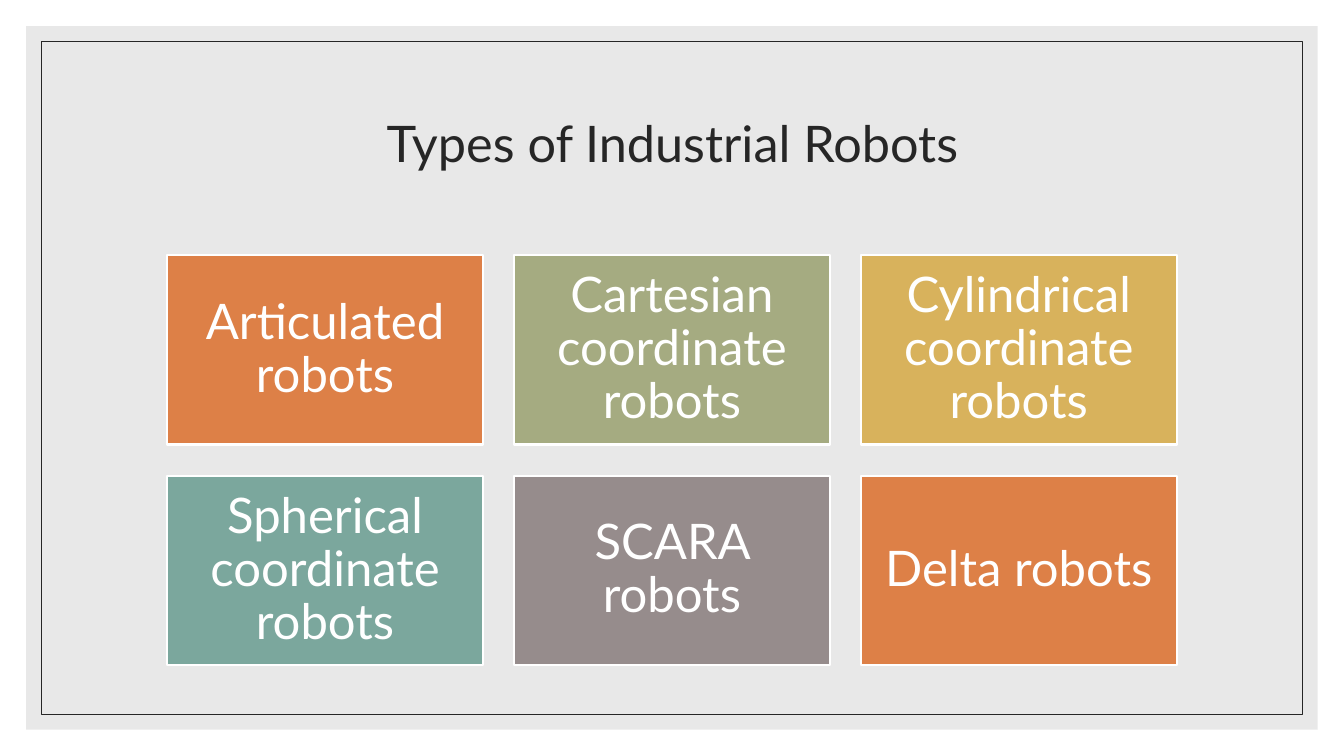
"""Builds a slide that shows six types of industrial robots as a grid of cards."""
import lxml.etree
import pptx
import pptx.dml.color
import pptx.enum.shapes
import pptx.enum.text
import pptx.oxml.ns
import pptx.util

PAGE_WIDTH, PAGE_HEIGHT = 13.33, 7.5
COLORS = {
    "white": "FFFFFF",
    "ink": "262626",
    "panel": "D9D9D9",
    "orange": "DD8047",
    "green": "A5AB81",
    "gold": "D8B25C",
    "teal": "7BA79D",
    "taupe": "968C8C",
}
ROBOTS = [
    ("Articulated robots", "orange"),
    ("Cartesian coordinate robots", "green"),
    ("Cylindrical coordinate robots", "gold"),
    ("Spherical coordinate robots", "teal"),
    ("SCARA robots", "taupe"),
    ("Delta robots", "orange"),
]
GRID_COLUMNS = 3
GRID_LEFT, GRID_TOP = 1.66, 2.53
CARD_WIDTH, CARD_HEIGHT, CARD_GAP = 3.13, 1.88, 0.31


def color(name):
    return pptx.dml.color.RGBColor.from_string(COLORS[name])


def inches(*lengths):
    return [pptx.util.Inches(length) for length in lengths]


def write_text(box, text, size, ink, inset):
    frame = box.text_frame
    frame.word_wrap = True
    frame.vertical_anchor = pptx.enum.text.MSO_ANCHOR.MIDDLE
    frame.margin_left = frame.margin_right = pptx.util.Inches(inset)
    frame.margin_top = frame.margin_bottom = pptx.util.Inches(inset)
    para = frame.paragraphs[0]
    para.alignment = pptx.enum.text.PP_ALIGN.CENTER
    para.line_spacing = 0.9
    span = para.add_run()
    span.text = text
    span.font.name = "Lato"
    span.font.size = pptx.util.Pt(size)
    span.font.color.rgb = color(ink)


def add_rectangle(page, place, fill=None, line=None, line_width=1, opacity=100):
    box = page.shapes.add_shape(
        pptx.enum.shapes.MSO_SHAPE.RECTANGLE, *inches(*place))
    box.shadow.inherit = False
    if fill:
        box.fill.solid()
        box.fill.fore_color.rgb = color(fill)
    else:
        box.fill.background()
    if line:
        box.line.color.rgb = color(line)
        box.line.width = pptx.util.Pt(line_width)
    else:
        box.line.fill.background()
    if opacity < 100:
        tint = box.fill._xPr.find(".//" + pptx.oxml.ns.qn("a:srgbClr"))
        alpha = lxml.etree.SubElement(tint, pptx.oxml.ns.qn("a:alpha"))
        alpha.set("val", str(opacity * 1000))
    return box


def add_frame(page, margin, **style):
    place = (margin, margin, PAGE_WIDTH - 2 * margin, PAGE_HEIGHT - 2 * margin)
    add_rectangle(page, place, **style)


def add_title(page, text):
    box = page.shapes.add_textbox(*inches(1.17, 0.7, 11, 1.5))
    write_text(box, text, size=36, ink="ink", inset=0.1)


def add_card(page, index, text, fill):
    row, column = divmod(index, GRID_COLUMNS)
    left = GRID_LEFT + column * (CARD_WIDTH + CARD_GAP)
    top = GRID_TOP + row * (CARD_HEIGHT + CARD_GAP)
    box = add_rectangle(page, (left, top, CARD_WIDTH, CARD_HEIGHT),
                        fill=fill, line="white", line_width=1.5)
    write_text(box, text, size=35, ink="white", inset=0.15)


def main():
    deck = pptx.Presentation()
    deck.slide_width, deck.slide_height = inches(PAGE_WIDTH, PAGE_HEIGHT)
    page = deck.slides.add_slide(deck.slide_layouts[6])
    page.background.fill.solid()
    page.background.fill.fore_color.rgb = color("white")
    add_frame(page, 0.26, fill="panel", opacity=60)
    add_frame(page, 0.41, line="ink", line_width=0.5)
    add_title(page, "Types of Industrial Robots")
    for index, (text, fill) in enumerate(ROBOTS):
        add_card(page, index, text, fill)
    deck.save("out.pptx")


if __name__ == "__main__":
    main()
